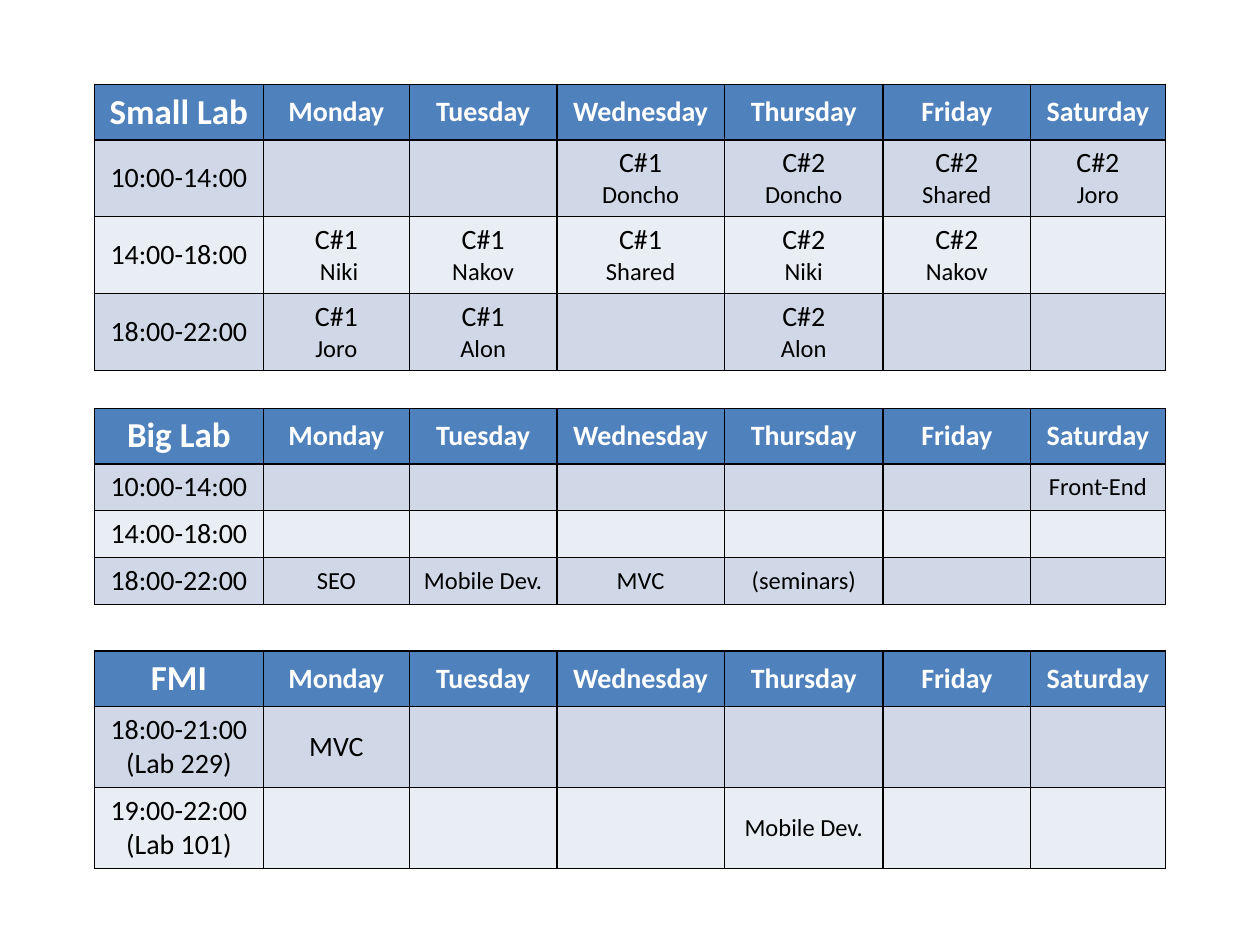
from dataclasses import dataclass

from lxml import etree
from pptx import Presentation
from pptx import util as u
from pptx.dml.color import RGBColor
from pptx.enum import text
from pptx.oxml import ns


@dataclass(frozen=True)
class Theme:
    font: str = "Calibri"
    header: str = "4F81BD"
    bands: tuple = ("D0D8E8", "E9EDF4")
    light: str = "FFFFFF"
    dark: str = "000000"
    border: float = 1
    lab: int = 20
    main: int = 16
    note: int = 14


THEME = Theme()
WIDTH, HEIGHT = u.Inches(10), u.Inches(7.5)
DAYS = ["Monday", "Tuesday", "Wednesday", "Thursday", "Friday", "Saturday"]
# Percent of the slide's width: the time column, then one column for each day
COLUMNS = [13.4, 11.6, 11.7, 13.3, 12.6, 11.7, 10.7]
LEFT = 7.5
HEADER_ROW = 5.85

# Top and row height are percent of the slide's height.
# Each row is its time lines and its classes by day, as (title, note).
LABS = [
    {"name": "Small Lab", "top": 8.93, "row": 8.13, "rows": [
        (["10:00-14:00"], {"Wednesday": ("C#1", "Doncho"), "Thursday": ("C#2", "Doncho"),
                           "Friday": ("C#2", "Shared"), "Saturday": ("C#2", "Joro")}),
        (["14:00-18:00"], {"Monday": ("C#1", " Niki"), "Tuesday": ("C#1", "Nakov"),
                           "Wednesday": ("C#1", "Shared"), "Thursday": ("C#2", "Niki"),
                           "Friday": ("C#2", "Nakov")}),
        (["18:00-22:00"], {"Monday": ("C#1", "Joro"), "Tuesday": ("C#1", "Alon"),
                           "Thursday": ("C#2", "Alon")}),
    ]},
    {"name": "Big Lab", "top": 43.2, "row": 4.95, "rows": [
        (["10:00-14:00"], {"Saturday": ("", "Front-End")}),
        (["14:00-18:00"], {}),
        (["18:00-22:00"], {"Monday": ("", "SEO"), "Tuesday": ("", "Mobile Dev."),
                           "Wednesday": ("", "MVC"), "Thursday": ("", "(seminars)")}),
    ]},
    {"name": "FMI", "top": 68.87, "row": 8.56, "rows": [
        (["18:00-21:00", "(Lab 229)"], {"Monday": ("MVC", "")}),
        (["19:00-22:00", "(Lab 101)"], {"Thursday": ("", "Mobile Dev.")}),
    ]},
]


def across(percent):
    return int(WIDTH * percent / 100)


def down(percent):
    return int(HEIGHT * percent / 100)


def add_borders(cell):
    """Draw all four edges; they must precede the fill in the cell's XML."""
    props = cell._tc.get_or_add_tcPr()
    for place, edge in enumerate(("lnL", "lnR", "lnT", "lnB")):
        line = etree.Element(ns.qn(f"a:{edge}"), w=str(u.Pt(THEME.border)))
        fill = etree.SubElement(line, ns.qn("a:solidFill"))
        etree.SubElement(fill, ns.qn("a:srgbClr"), val=THEME.dark)
        props.insert(place, line)


def fill_cell(cell, lines, fill, color=THEME.dark, bold=False):
    """Write (wording, size) lines, one paragraph each, on a plain fill."""
    cell.fill.solid()
    cell.fill.fore_color.rgb = RGBColor.from_string(fill)
    cell.vertical_anchor = text.MSO_ANCHOR.MIDDLE
    add_borders(cell)
    frame = cell.text_frame
    for index, (wording, size) in enumerate(lines):
        para = frame.add_paragraph() if index else frame.paragraphs[0]
        para.alignment = text.PP_ALIGN.CENTER
        span = para.add_run()
        span.text = wording
        span.font.color.rgb = RGBColor.from_string(color)
        style = {"name": THEME.font, "size": u.Pt(size), "bold": bold}
        for name, value in style.items():
            setattr(span.font, name, value)
    if not lines:
        # Keeps the default text size from stretching rows with empty cells
        etree.SubElement(frame.paragraphs[0]._p, ns.qn("a:endParaRPr"),
                         sz=str(THEME.note * 100))


def add_timetable(page, lab, left, top, width):
    heights = [HEADER_ROW] + [lab["row"]] * len(lab["rows"])
    table = page.shapes.add_table(len(heights), len(COLUMNS), left, top,
                                  width, down(sum(heights))).table
    for column, share in zip(table.columns, COLUMNS):
        column.width = int(width * share / sum(COLUMNS))
    for row, height in zip(table.rows, heights):
        row.height = down(height)

    titles = [(lab["name"], THEME.lab)] + [(day, THEME.main) for day in DAYS]
    for index, title in enumerate(titles):
        fill_cell(table.cell(0, index), [title], THEME.header, THEME.light, True)
    for index, (times, classes) in enumerate(lab["rows"]):
        band = THEME.bands[index % 2]
        fill_cell(table.cell(index + 1, 0), [(time, THEME.main) for time in times], band)
        for column, day in enumerate(DAYS, 1):
            sized = zip(classes.get(day, ()), (THEME.main, THEME.note))
            lines = [(wording, size) for wording, size in sized if wording]
            fill_cell(table.cell(index + 1, column), lines, band)


def main():
    deck = Presentation()
    deck.slide_width, deck.slide_height = WIDTH, HEIGHT
    page = deck.slides.add_slide(deck.slide_layouts[6])
    for lab in LABS:
        add_timetable(page, lab, across(LEFT), down(lab["top"]), across(sum(COLUMNS)))
    deck.save("out.pptx")


if __name__ == "__main__":
    main()
